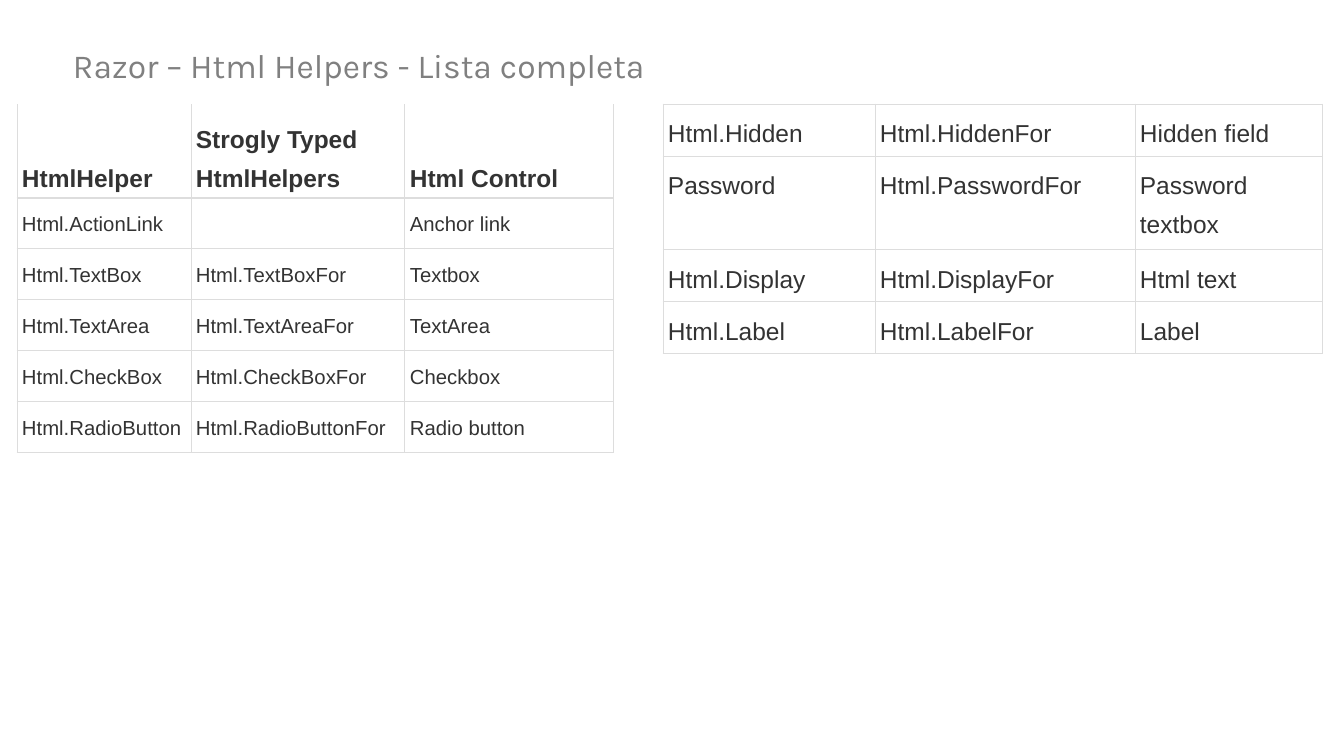
from lxml import etree
from pptx import Presentation
from pptx import util as u
from pptx.dml.color import RGBColor
from pptx.enum import text
from pptx.oxml.ns import qn

SCALE = 914400 / 100.8
ROW = 51
GRID, INK, GREY, WHITE = "DDDDDD", "333333", "808080", "FFFFFF"
HEAD = ["HtmlHelper", "Strogly Typed HtmlHelpers", "Html Control"]
INPUTS = [
    ["Html.ActionLink", "", "Anchor link"],
    ["Html.TextBox", "Html.TextBoxFor", "Textbox"],
    ["Html.TextArea", "Html.TextAreaFor", "TextArea"],
    ["Html.CheckBox", "Html.CheckBoxFor", "Checkbox"],
    ["Html.RadioButton", "Html.RadioButtonFor", "Radio button"],
]
OTHERS = [
    ["Html.Hidden", "Html.HiddenFor", "Hidden field"],
    ["Password", "Html.PasswordFor", "Password textbox"],
    ["Html.Display", "Html.DisplayFor", "Html text"],
    ["Html.Label", "Html.LabelFor", "Label"],
]


def px(n):
    """Turn pixels into EMU."""
    return u.Emu(round(n * SCALE))


def rgb(code):
    """Turn a hex string into a colour."""
    return RGBColor.from_string(code)


class Deck:
    """Holds the shared style and the current slide."""

    def __init__(self, slide):
        """Keep the slide to draw on."""
        self.slide = slide

    def style(self, para, face, size, color, bold=False):
        """Format every run of a paragraph."""
        for run in para.runs:
            font = run.font
            font.name, font.size, font.bold = face, u.Pt(size), bold
            font.color.rgb = rgb(color)

    def title(self, words, x, y, w, h):
        """Add the heading text box."""
        frame = self.slide.shapes.add_textbox(px(x), px(y), px(w), px(h)).text_frame
        frame.word_wrap = True
        frame.text = words
        self.style(frame.paragraphs[0], "Karla", 24, GREY)

    def edge(self, cell, side, width):
        """Draw one cell border; zero width leaves it out."""
        line = etree.SubElement(cell._tc.get_or_add_tcPr(), qn("a:ln" + side))
        line.set("w", str(u.Pt(width)))
        if width:
            fill = etree.SubElement(line, qn("a:solidFill"))
            etree.SubElement(fill, qn("a:srgbClr")).set("val", GRID)
        else:
            etree.SubElement(line, qn("a:noFill"))

    def cell(self, cell, words, size, head=False, top=0.75):
        """Fill one table cell with its text, borders and ground."""
        for side, width in zip("LRTB", (0.75, 0.75, top, 1.5 if head else 0.75)):
            self.edge(cell, side, width)
        cell.fill.solid()
        cell.fill.fore_color.rgb = rgb(WHITE)
        cell.margin_left = cell.margin_right = px(5)
        cell.margin_top = cell.margin_bottom = px(5)
        anchor = text.MSO_ANCHOR
        cell.vertical_anchor = anchor.BOTTOM if head else anchor.TOP
        cell.text_frame.text = words
        para = cell.text_frame.paragraphs[0]
        para.line_spacing, para.space_after = 1.43, u.Pt(15)
        self.style(para, "Arial", size, INK, head)

    def table(self, x, y, cols, rows, size, head=None):
        """Add a grid of helpers, with an optional heading row."""
        full = ([head] if head else []) + rows
        table = self.slide.shapes.add_table(
            len(full), len(cols), px(x), px(y), px(sum(cols)), px(ROW * len(full))
        ).table
        table.first_row = table.horz_banding = False
        for col, width in zip(table.columns, cols):
            col.width = px(width)
        for r, row in enumerate(full):
            table.rows[r].height = px(ROW)
            top = {0: 0, 1: 1.5}.get(r, 0.75) if head else 0.75
            is_head = bool(head) and r == 0
            for c, words in enumerate(row):
                self.cell(table.cell(r, c), words, 17.5 if is_head else size, is_head, top)


def main():
    """Build and save the slide."""
    show = Presentation()
    show.slide_width, show.slide_height = px(1344), px(756)
    deck = Deck(show.slides.add_slide(show.slide_layouts[6]))
    deck.title("Razor – Html Helpers - Lista completa", 63, 40, 1091, 32)
    deck.table(17, 104, [174, 214, 209], INPUTS, 14.5, HEAD)
    deck.table(663, 104, [212, 260, 187], OTHERS, 17.5)
    show.save("out.pptx")


main()
